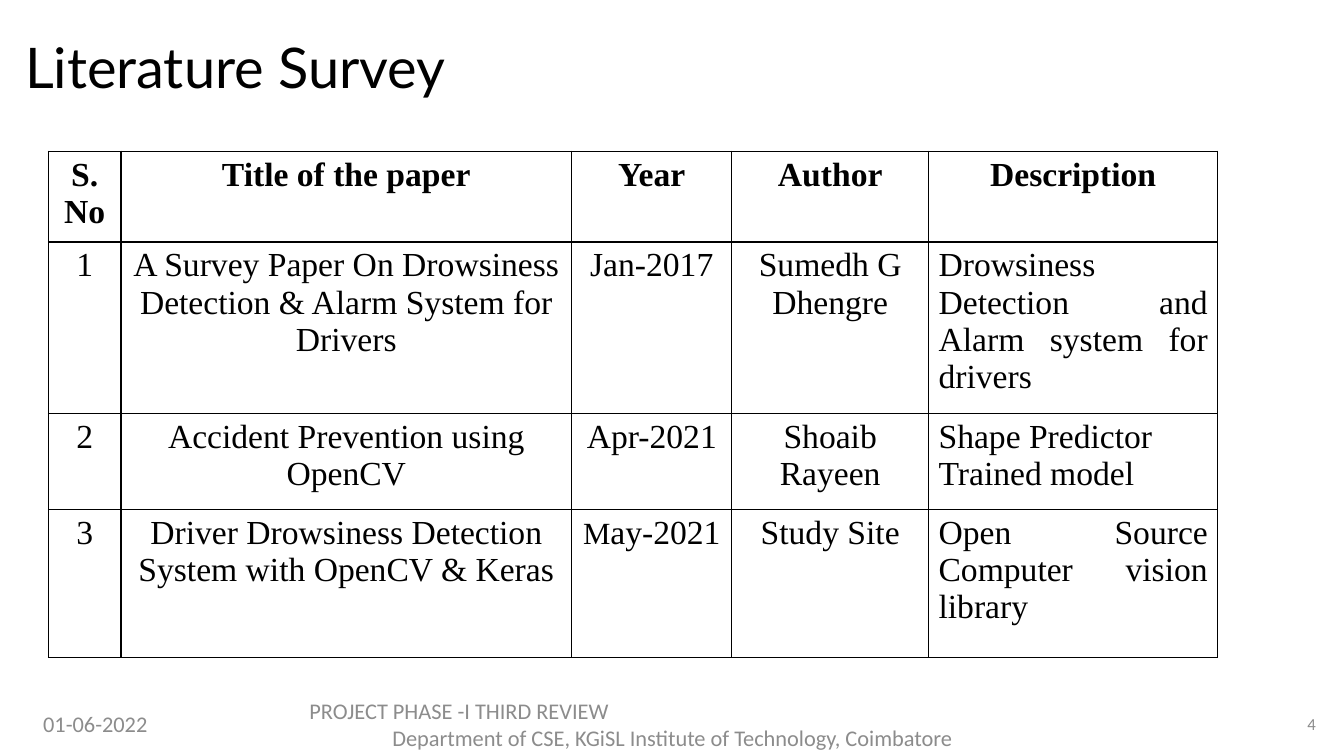
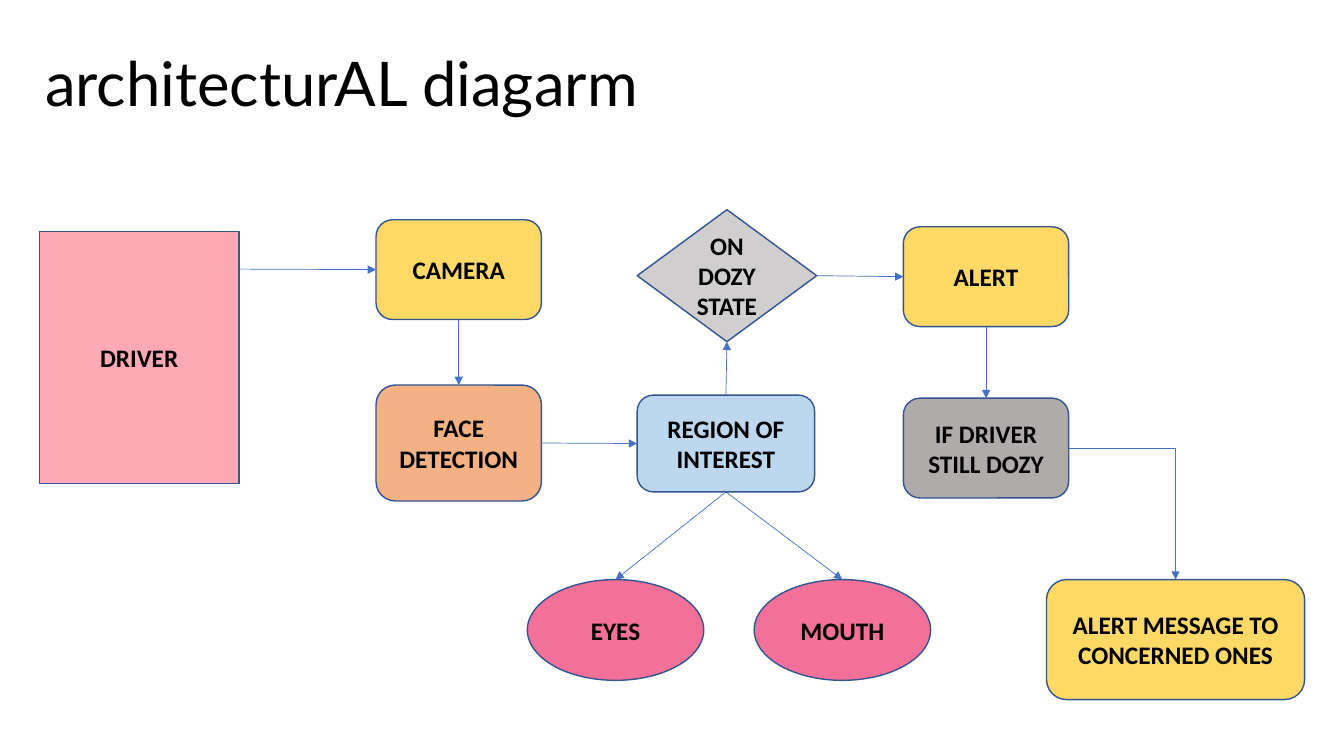
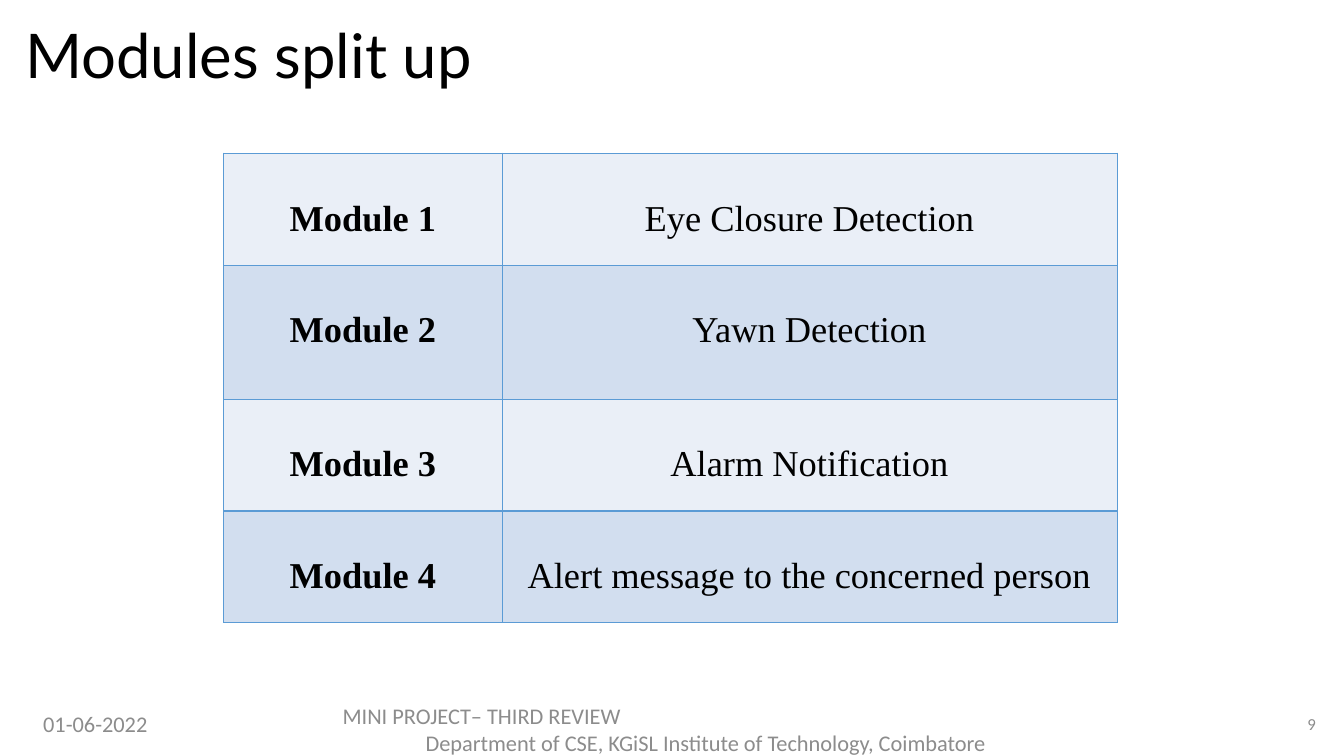
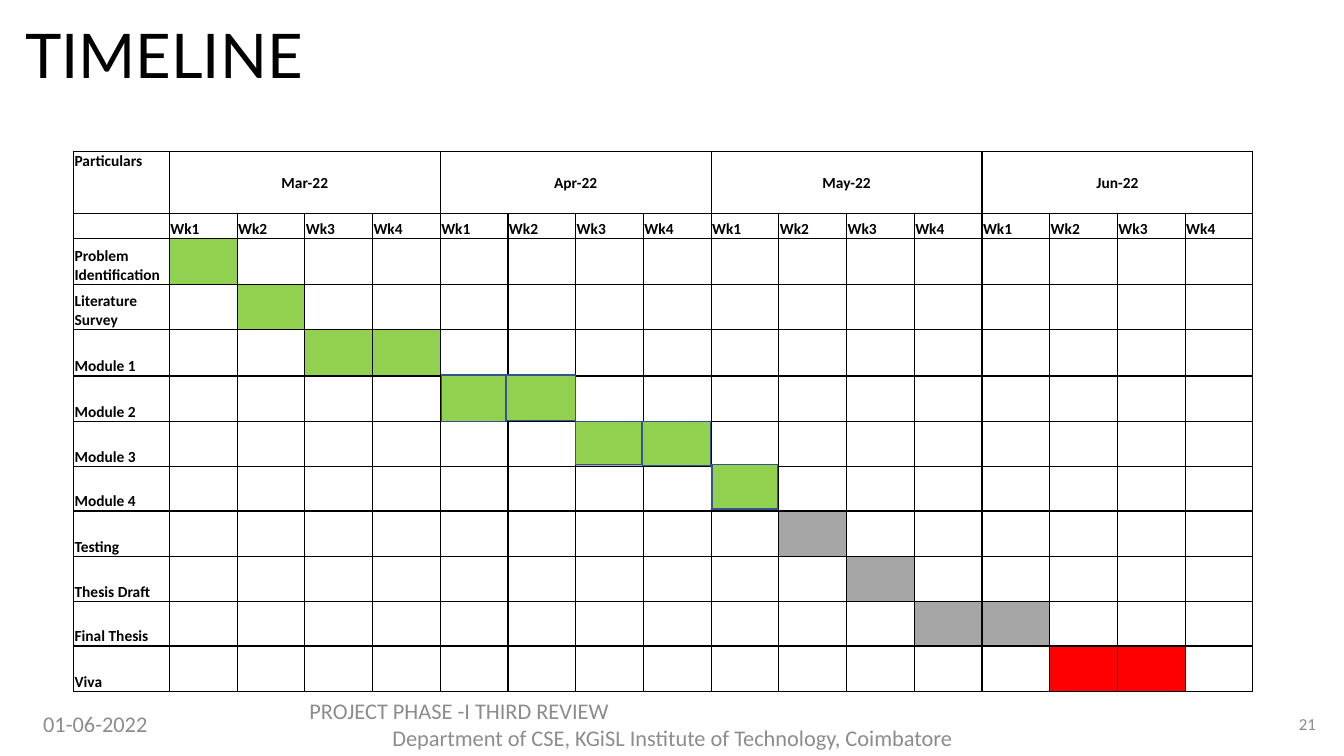
"""Build four slides of a driver drowsiness detection project review."""
import pptx
import pptx.dml.color
import pptx.enum.dml
import pptx.enum.shapes
import pptx.enum.text
import pptx.oxml
import pptx.oxml.ns
import pptx.util

Inches = pptx.util.Inches
Pt = pptx.util.Pt
ALIGN = pptx.enum.text.PP_ALIGN
ANCHOR = pptx.enum.text.MSO_ANCHOR
SHAPE = pptx.enum.shapes.MSO_SHAPE
CONNECTOR = pptx.enum.shapes.MSO_CONNECTOR
TOP, LEFT, BOTTOM, RIGHT = range(4)

COLOURS = {
    "black": "000000",
    "footer": "8C8C8C",
    "outline": "325491",
    "arrow": "4472C4",
    "pink": "FDA9B5",
    "rose": "F37199",
    "yellow": "FFD966",
    "orange": "F4B183",
    "sky": "BDD7EE",
    "light grey": "D0CECE",
    "grey": "AFABAB",
    "border": "5B9BD5",
    "pale band": "EAEFF7",
    "blue band": "D2DEEF",
    "done": "92D050",
    "planned": "A6A6A6",
    "final": "FF0000",
}
REVIEW = "PROJECT PHASE -I THIRD REVIEW"
DEPARTMENT = "Department of CSE, KGiSL Institute of Technology, Coimbatore"
DATE = "01-06-2022"


def colour(name):
    return pptx.dml.color.RGBColor.from_string(COLOURS[name])


def element(xml):
    return pptx.oxml.parse_xml(xml.replace(">", " " + pptx.oxml.ns.nsdecls("a") + ">", 1))


class Deck:
    title_font = "Lato"
    body_font = "Calibri"
    table_font = "Times New Roman"

    def __init__(self):
        self.presentation = pptx.Presentation()
        self.presentation.slide_width = Inches(13.33)
        self.presentation.slide_height = Inches(7.5)
        self.slide = None

    def new_slide(self):
        self.slide = self.presentation.slides.add_slide(self.presentation.slide_layouts[6])

    def format(self, paragraph, size, font, name="black", bold=False, align=ALIGN.LEFT):
        paragraph.alignment = align
        paragraph.font.size = Pt(size)
        paragraph.font.name = font
        paragraph.font.bold = bold
        paragraph.font.color.rgb = colour(name)

    def text(self, box, lines, size, font, name="black"):
        left, top, width, height = map(Inches, box)
        frame = self.slide.shapes.add_textbox(left, top, width, height).text_frame
        frame.word_wrap = True
        frame.vertical_anchor = ANCHOR.MIDDLE
        for index, (line, align) in enumerate(lines):
            paragraph = frame.add_paragraph() if index else frame.paragraphs[0]
            paragraph.text = line
            self.format(paragraph, size, font, name, align=align)
        return frame

    def title(self, text, box=(0.15, 0.12, 11.5, 0.92), size=44):
        frame = self.text(box, [(text, ALIGN.LEFT)], size, self.title_font)
        frame.paragraphs[0].line_spacing = 0.9

    def footer(self, number, review=REVIEW, left=2.97, top=6.98):
        for box, lines, size in (
            ((0.33, 6.98, 1.45, 0.4), [(DATE, ALIGN.LEFT)], 16),
            ((left, top, 7.4, 0.4), [(review, ALIGN.LEFT), (DEPARTMENT, ALIGN.CENTER)], 16),
            ((12.54, 6.98, 0.61, 0.4), [(number, ALIGN.RIGHT)], 12),
        ):
            self.text(box, lines, size, self.body_font, "footer")

    def shape(self, kind, box, fill, text=""):
        shape = self.slide.shapes.add_shape(kind, *map(Inches, box))
        shape.shadow.inherit = False
        shape.fill.solid()
        shape.fill.fore_color.rgb = colour(fill)
        shape.line.color.rgb = colour("outline")
        shape.line.width = Pt(1)
        if text:
            frame = shape.text_frame
            frame.word_wrap = True
            frame.vertical_anchor = ANCHOR.MIDDLE
            frame.text = text
            self.format(frame.paragraphs[0], 18, self.body_font, bold=True, align=ALIGN.CENTER)
        return shape

    def arrow(self, begin, end, start=(0, 0), bent=False):
        kind = CONNECTOR.ELBOW if bent else CONNECTOR.STRAIGHT
        x, y = map(Inches, start)
        connector = self.slide.shapes.add_connector(kind, x, y, x, y)
        if begin:
            connector.begin_connect(*begin)
        connector.end_connect(*end)
        connector.line.color.rgb = colour("arrow")
        connector.line.width = Pt(0.5)
        properties = connector._element.spPr
        properties.find(pptx.oxml.ns.qn("a:ln")).append(element('<a:tailEnd type="triangle"></a:tailEnd>'))
        properties.append(element("<a:effectLst></a:effectLst>"))
        if bent:
            properties.find(pptx.oxml.ns.qn("a:prstGeom")).set("prst", "bentConnector2")

    def table(self, left, top, widths, heights):
        table = self.slide.shapes.add_table(
            len(heights), len(widths), Inches(left), Inches(top),
            Inches(sum(widths)), Inches(sum(heights))).table
        table.first_row = False
        table.horz_banding = False
        for column, width in zip(table.columns, widths):
            column.width = Inches(width)
        for row, height in zip(table.rows, heights):
            row.height = Inches(height)
        return table

    def cell(self, cell, text, size, font, border="black", fill=None, bold=False,
             align=ALIGN.CENTER, anchor=ANCHOR.TOP, margins=(0.1, 0.05, 0.1, 0.05)):
        properties = cell._tc.get_or_add_tcPr()
        for side in "LRTB":
            properties.append(element(
                f'<a:ln{side} w="12700"><a:solidFill><a:srgbClr val="{COLOURS[border]}"/>'
                f'</a:solidFill></a:ln{side}>'))
        if fill:
            cell.fill.solid()
            cell.fill.fore_color.rgb = colour(fill)
        else:
            cell.fill.background()
        cell.margin_left, cell.margin_top, cell.margin_right, cell.margin_bottom = map(Inches, margins)
        cell.vertical_anchor = anchor
        paragraph = cell.text_frame.paragraphs[0]
        if text:
            paragraph.text = text
        else:
            paragraph._p.get_or_add_endParaRPr().set("sz", str(size * 100))
        self.format(paragraph, size, font, bold=bold, align=align)


def literature_survey(deck):
    deck.new_slide()
    deck.title("Literature Survey", (0.15, 0.35, 11.5, 0.69), 40)
    rows = [
        ("S. No", "Title of the paper", "Year", "Author", "Description"),
        ("1", "A Survey Paper On Drowsiness Detection & Alarm System for Drivers",
         "Jan-2017", "Sumedh G Dhengre", "Drowsiness Detection and Alarm system for drivers"),
        ("2", "Accident Prevention using OpenCV", "Apr-2021", "Shoaib Rayeen",
         "Shape Predictor Trained model"),
        ("3", "Driver Drowsiness Detection System with OpenCV & Keras", "M", "Study Site",
         "Open Source Computer vision library"),
    ]
    description_aligns = (ALIGN.CENTER, ALIGN.JUSTIFY, ALIGN.LEFT, ALIGN.JUSTIFY)
    table = deck.table(0.48, 1.5, (0.72, 4.47, 1.59, 1.95, 2.87), (0.84, 1.57, 0.95, 1.47))
    for r, texts in enumerate(rows):
        for c, text in enumerate(texts):
            align = description_aligns[r] if c == 4 else ALIGN.CENTER
            deck.cell(table.cell(r, c), text, 24, deck.table_font, bold=r == 0, align=align)
    month = table.cell(3, 2).text_frame.paragraphs[0]
    month.runs[0].font.size = Pt(22)
    month.add_run().text = "ay-2021"
    deck.footer("4")


def architecture(deck):
    deck.new_slide()
    deck.title("architecturAL diagarm", (0.35, 0.18, 12.19, 1.35))
    box, oval = SHAPE.ROUNDED_RECTANGLE, SHAPE.OVAL
    deck.shape(SHAPE.RECTANGLE, (0.39, 2.3, 1.98, 2.5), "pink", "DRIVER")
    camera = deck.shape(box, (3.73, 2.18, 1.64, 0.99), "yellow", "CAMERA")
    face = deck.shape(box, (3.73, 3.82, 1.64, 1.15), "orange", "FACE DETECTION")
    eyes = deck.shape(oval, (5.23, 5.75, 1.75, 1), "rose", "EYES")
    region = deck.shape(box, (6.32, 3.92, 1.76, 0.96), "sky", "REGION OF INTEREST")
    dozy = deck.shape(SHAPE.DIAMOND, (6.32, 2.08, 1.78, 1.31), "light grey", "ON DOZY STATE")
    mouth = deck.shape(oval, (7.48, 5.75, 1.75, 1), "rose", "MOUTH")
    alert = deck.shape(box, (8.96, 2.25, 1.64, 0.99), "yellow", "ALERT")
    still_dozy = deck.shape(box, (8.96, 3.95, 1.64, 0.99), "grey", "IF DRIVER STILL DOZY")
    message = deck.shape(box, (10.38, 5.75, 2.56, 1.19), "yellow", "ALERT MESSAGE TO CONCERNED ONES")
    deck.arrow(None, (camera, LEFT), start=(2.38, 2.67))
    for begin, end in (
        ((camera, BOTTOM), (face, TOP)),
        ((face, RIGHT), (region, LEFT)),
        ((region, BOTTOM), (eyes, TOP)),
        ((region, BOTTOM), (mouth, TOP)),
        ((region, TOP), (dozy, BOTTOM)),
        ((dozy, RIGHT), (alert, LEFT)),
        ((alert, BOTTOM), (still_dozy, TOP)),
    ):
        deck.arrow(begin, end)
    deck.arrow((still_dozy, RIGHT), (message, TOP), bent=True)


def modules(deck):
    deck.new_slide()
    deck.title("Modules split up")
    names = ("Eye Closure Detection", "Yawn Detection", "Alarm Notification",
             "Alert message to the concerned person")
    table = deck.table(2.22, 1.52, (2.76, 6.1), (1.11, 1.33, 1.11, 1.11))
    for r, name in enumerate(names):
        for c, text in enumerate((f"Module {r + 1}", name)):
            deck.cell(table.cell(r, c), text, 26, deck.table_font, "border",
                      "blue band" if r % 2 else "pale band", bold=c == 0,
                      margins=(0.1, 0.45, 0.1, 0.05))
    deck.footer("9", "MINI PROJECT– THIRD REVIEW", 3.3, 7.03)


def timeline(deck):
    deck.new_slide()
    deck.title("TIMELINE")
    months = ("Mar-22", "Apr-22", "May-22", "Jun-22")
    tasks = [
        ("Problem Identification", (1,), "done"),
        ("Literature Survey", (2,), "done"),
        ("Module 1", (3, 4), "done"),
        ("Module 2", (5, 6), "planned"),
        ("Module 3", (7, 8), "planned"),
        ("Module 4", (9,), "planned"),
        ("Testing", (10,), "planned"),
        ("Thesis Draft", (11,), "planned"),
        ("Final Thesis", (12, 13), "planned"),
        ("Viva", (14, 15), "final"),
    ]
    weeks = 4 * len(months)
    header = ["Particulars"] + [months[i // 4] if i % 4 == 0 else "" for i in range(weeks)]
    rows = [header, [""] + [f"Wk{i % 4 + 1}" for i in range(weeks)]]
    rows += [[task] + [""] * weeks for task, _, _ in tasks]
    fills = {(r, c): fill for r, (_, busy, fill) in enumerate(tasks, 2) for c in busy}
    heights = (0.62, 0.25, 0.45, 0.45, 0.46, 0.45, 0.45, 0.44, 0.45, 0.45, 0.44, 0.45)
    table = deck.table(0.73, 1.5, [0.95] + [(11.7 - 0.95) / weeks] * weeks, heights)
    for r, texts in enumerate(rows):
        for c, text in enumerate(texts):
            is_month = r == 0 and c > 0
            anchor = ANCHOR.MIDDLE if is_month else ANCHOR.BOTTOM if r else ANCHOR.TOP
            deck.cell(table.cell(r, c), text, 11, deck.body_font, fill=fills.get((r, c)), bold=True,
                      align=ALIGN.CENTER if is_month else ALIGN.LEFT, anchor=anchor,
                      margins=(0.01, 0.01, 0.01, 0))
    for c in range(1, weeks, 4):
        table.cell(0, c).merge(table.cell(0, c + 3))
    for bar in ((4.38, 3.72, 0.64, 0.46), (5.02, 3.72, 0.69, 0.45), (5.71, 4.18, 0.66, 0.43),
                (6.37, 4.18, 0.68, 0.44), (7.06, 4.61, 0.65, 0.44)):
        deck.shape(SHAPE.RECTANGLE, bar, "done")
    deck.footer("21")


def main():
    deck = Deck()
    for build in (literature_survey, architecture, modules, timeline):
        build(deck)
    deck.presentation.save("out.pptx")


if __name__ == "__main__":
    main()
